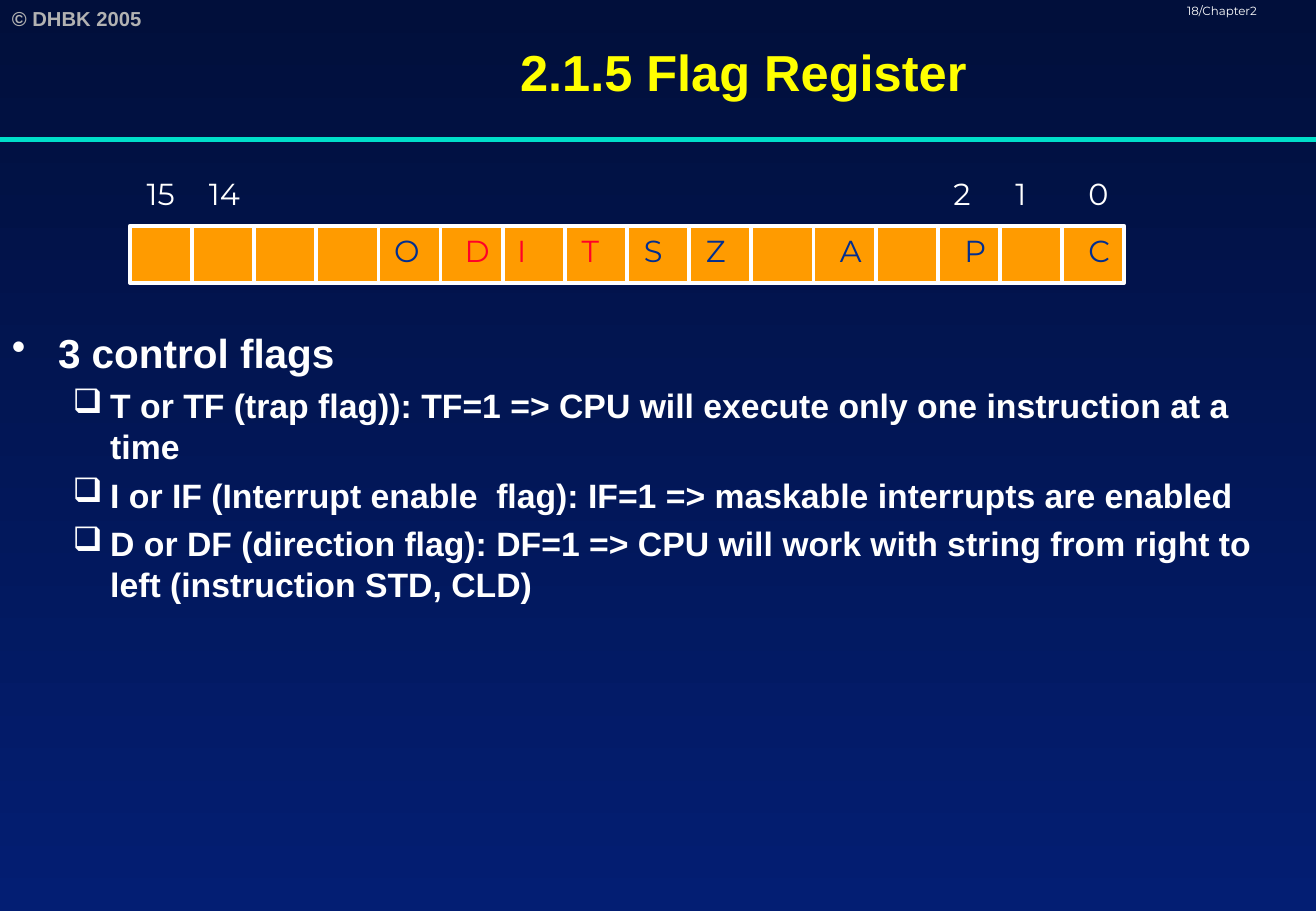
from collections import namedtuple

from lxml.etree import SubElement
from pptx import Presentation
from pptx.dml.color import RGBColor
from pptx.enum.shapes import MSO_CONNECTOR as Connector, MSO_SHAPE as Shape
from pptx.enum.text import MSO_ANCHOR as Anchor, MSO_AUTO_SIZE as AutoSize, PP_ALIGN as Align
from pptx.oxml.ns import qn
from pptx.util import Inches, Pt

Box = namedtuple("Box", "left top width height")
Label = namedtuple("Label", "text column indent width color")

WIDTH, HEIGHT = 10.84, 7.5
HEADER_HEIGHT = 1.17
BITS_PER_NIBBLE, NIBBLES = 4, 4
COLORS = {
    "top": "010F3B", "bottom": "031E73", "rule": "00DFCA", "title": "FFFF00",
    "white": "FFFFFF", "gray": "B2B2B2", "cell": "FF9B00",
    "status": "012E91", "control": "FF0028",
}
BIT_NUMBERS = [
    Label("15", 0, 0.04, 0.48, "white"),
    Label("14", 1, 0.04, 0.48, "white"),
    Label("2", 13, 0.03, 0.34, "white"),
    Label("1", 14, 0.03, 0.34, "white"),
    Label("0", 15, 0.12, 0.34, "white"),
]
FLAGS = [
    Label("O", 4, 0.03, 0.39, "status"),
    Label("D", 5, 0.1, 0.38, "control"),
    Label("I", 6, 0.02, 0.28, "control"),
    Label("T", 7, 0.04, 0.34, "control"),
    Label("S", 8, 0.04, 0.34, "status"),
    Label("Z", 9, 0.04, 0.34, "status"),
    Label("A", 11, 0.12, 0.36, "status"),
    Label("P", 13, 0.12, 0.35, "status"),
    Label("C", 15, 0.12, 0.36, "status"),
]
CONTROL_FLAGS = [
    (0, "3 control flags"),
    (1, "T or TF (trap flag)): TF=1 => CPU will execute only one instruction at a time"),
    (1, "I or IF (Interrupt enable  flag): IF=1 => maskable interrupts are enabled"),
    (1, "D or DF (direction flag): DF=1 => CPU will work with string from right to left (instruction STD, CLD)"),
]
LevelStyle = namedtuple("LevelStyle", "bullet size before margin hanging")
LEVELS = [LevelStyle("•", 24, 6, 0.38, 0.38), LevelStyle("❑", 20, 5, 0.81, 0.31)]


def rgb(name):
    return RGBColor.from_string(COLORS[name])


def inches(box):
    return [Inches(value) for value in box]


def add_span(para, text, size, color, font="Arial", bold=False):
    span = para.add_run()
    span.text = text
    span.font.size = Pt(size)
    span.font.name = font
    span.font.bold = bold
    span.font.color.rgb = rgb(color)


def add_text(page, box, text, size, color, font="Montserrat", bold=False, wrap=True):
    frame = page.shapes.add_textbox(*inches(box)).text_frame
    frame.word_wrap = wrap
    if not wrap:
        frame.auto_size = AutoSize.SHAPE_TO_FIT_TEXT
    add_span(frame.paragraphs[0], text, size, color, font, bold)
    return frame.paragraphs[0]


def add_line(page, start, end, color, width):
    line = page.shapes.add_connector(
        Connector.STRAIGHT, *[Inches(value) for value in (*start, *end)])
    line.line.color.rgb = rgb(color)
    line.line.width = Pt(width)
    SubElement(line._element.spPr, qn("a:effectLst"))
    return line


def paint_background(page):
    fill = page.background.fill
    fill.gradient()
    fill.gradient_angle = 270
    for stop, name in zip(fill.gradient_stops, ("top", "bottom")):
        stop.color.rgb = rgb(name)


def add_header(page, box):
    right = box.left + box.width
    add_text(page, Box(box.left, box.top, 1.57, 0.3), "© DHBK 2005", 12, "gray", "Arial", True)
    rule = box.top + box.height - 0.02
    add_line(page, (box.left, rule), (right, rule), "rule", 3)
    para = add_text(page, Box(right - 1.16, box.top, 1.58, 0.25), "18/Chapter2", 7, "white")
    para.line_spacing = 0.8

    title = page.shapes.title
    indent = 0.13 * box.width
    title.left, title.top, title.width, title.height = inches(
        Box(box.left + indent, box.top, box.width - indent, box.height))
    title.text_frame.vertical_anchor = Anchor.MIDDLE
    para = title.text_frame.paragraphs[0]
    para.alignment = Align.CENTER
    add_span(para, "2.1.5 Flag Register", 30, "title", bold=True)


def add_nibble(page, box):
    nibble = page.shapes.add_shape(Shape.RECTANGLE, *inches(box))
    nibble.shadow.inherit = False
    nibble.fill.solid()
    nibble.fill.fore_color.rgb = rgb("cell")
    nibble.line.color.rgb = rgb("white")
    nibble.line.width = Pt(2.25)
    for column in range(1, BITS_PER_NIBBLE):
        x = box.left + column * box.width / BITS_PER_NIBBLE
        divider = add_line(page, (x, box.top), (x, box.top + box.height), "white", 2.25)
        if column * 2 == BITS_PER_NIBBLE:
            divider.begin_connect(nibble, 0)
            divider.end_connect(nibble, 2)


def add_register(page, box):
    nibble_width = box.width / NIBBLES
    cell_width = nibble_width / BITS_PER_NIBBLE
    for index in range(NIBBLES):
        add_nibble(page, Box(box.left + index * nibble_width, box.top, nibble_width, box.height))
    for labels, top in ((BIT_NUMBERS, box.top - box.height), (FLAGS, box.top)):
        for label in labels:
            left = box.left + label.column * cell_width + label.indent
            add_text(page, Box(left, top, label.width, 0.4), label.text, 18, label.color, wrap=False)


def add_bullet(para, style):
    props = para._p.get_or_add_pPr()
    props.set("marL", str(Inches(style.margin)))
    props.set("indent", str(-Inches(style.hanging)))
    color = SubElement(props, qn("a:buClr"))
    SubElement(color, qn("a:srgbClr")).set("val", COLORS["white"])
    SubElement(props, qn("a:buChar")).set("char", style.bullet)


def add_body(page, box):
    frame = page.shapes.add_textbox(*inches(box)).text_frame
    frame.word_wrap = True
    for index, (level, text) in enumerate(CONTROL_FLAGS):
        para = frame.add_paragraph() if index else frame.paragraphs[0]
        style = LEVELS[level]
        para.level = level
        add_bullet(para, style)
        if index:
            para.space_before = Pt(style.before)
        add_span(para, text, style.size, "white", bold=True)


def main():
    deck = Presentation()
    deck.slide_width, deck.slide_height = Inches(WIDTH), Inches(HEIGHT)
    page = deck.slides.add_slide(deck.slide_layouts.get_by_name("Title Only"))
    paint_background(page)
    add_header(page, Box(0, 0, WIDTH, HEADER_HEIGHT))
    body_top = 2.65
    add_body(page, Box(0, body_top, WIDTH, HEIGHT - body_top))
    add_register(page, Box(1.07, 1.86, 8.19, 0.47))
    deck.save("out.pptx")


if __name__ == "__main__":
    main()
